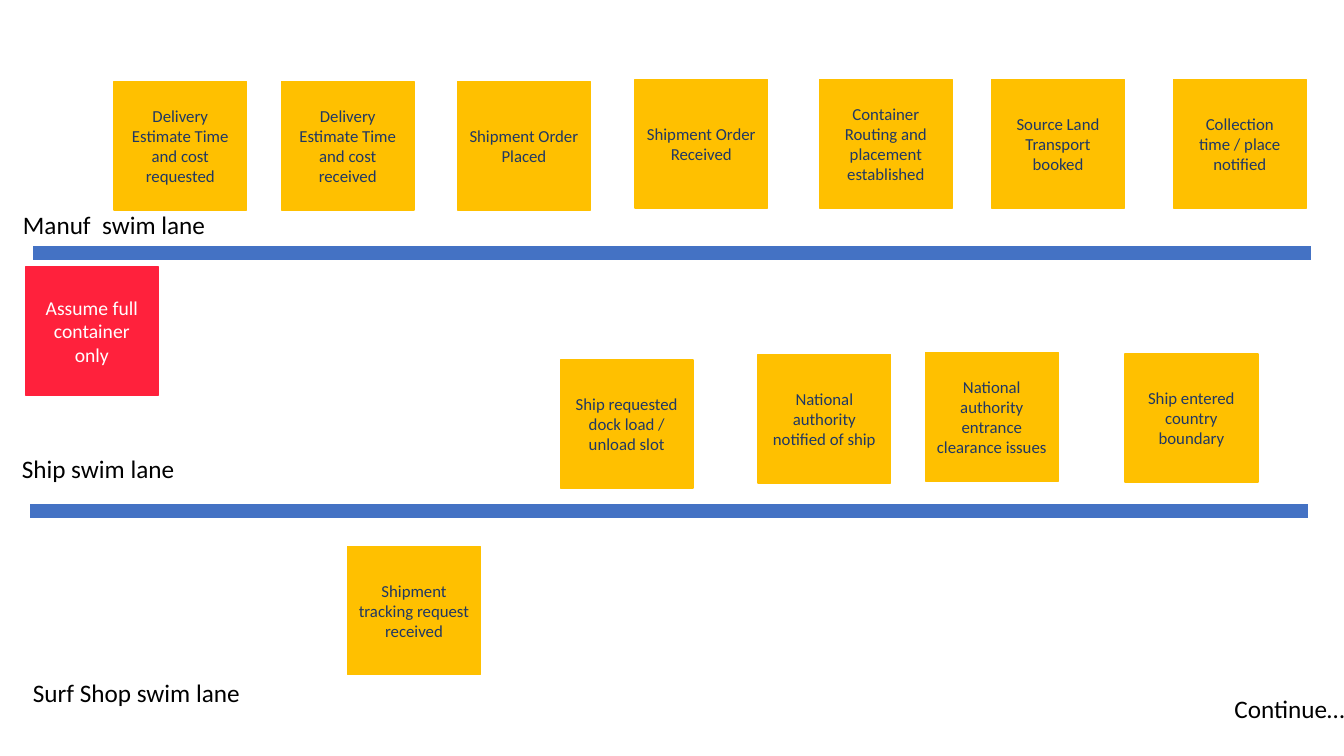
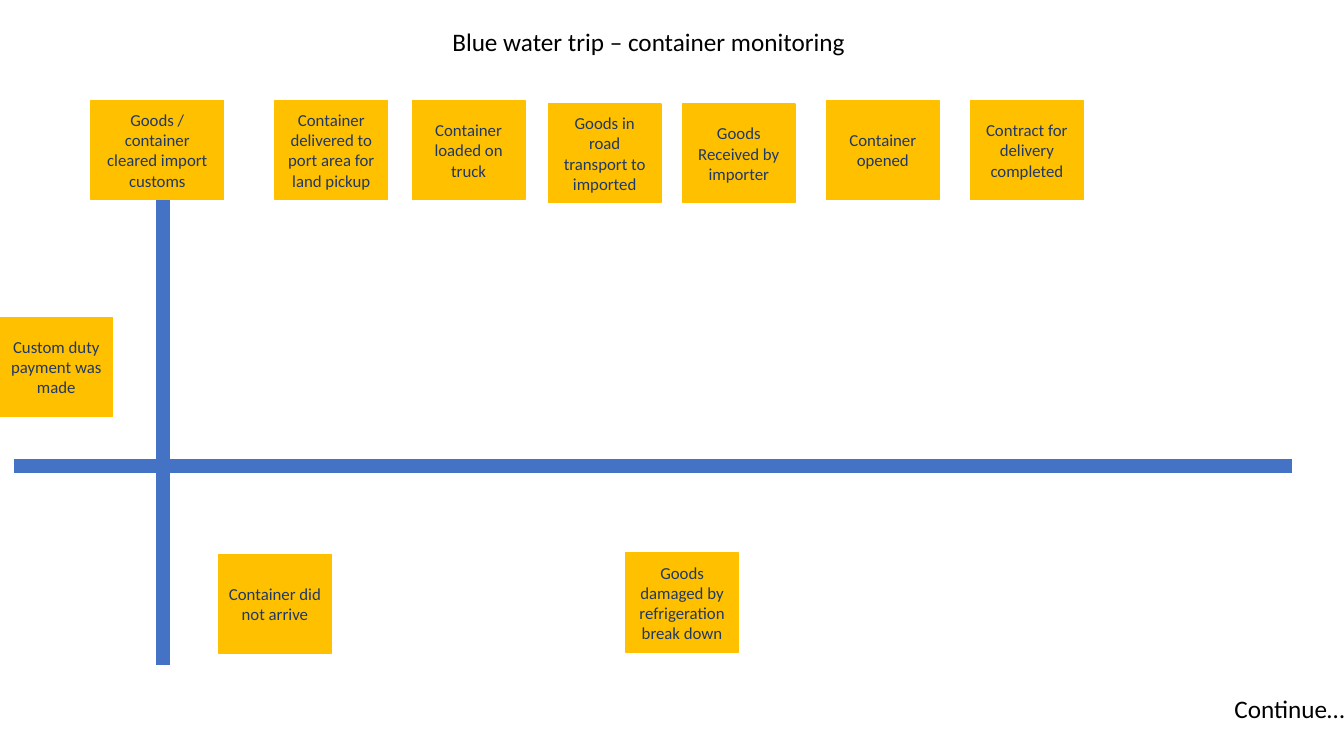
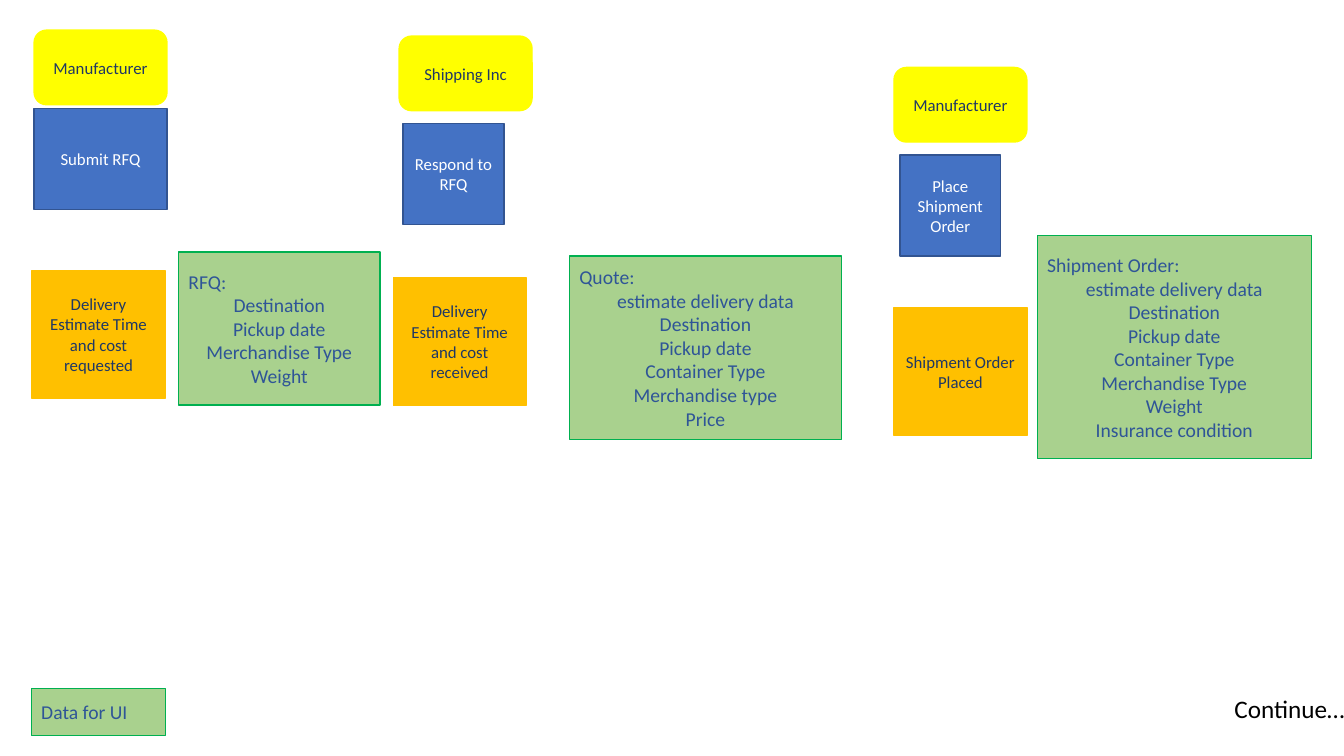
from lxml.etree import SubElement
from pptx import Presentation
from pptx.dml.color import RGBColor
from pptx.enum.shapes import MSO_CONNECTOR, MSO_SHAPE
from pptx.enum.text import MSO_ANCHOR, MSO_AUTO_SIZE, PP_ALIGN
from pptx.oxml.ns import qn
from pptx.util import Cm, Pt

HUES = {
    "amber": "FFC000", "red": "FF213C", "lemon": "FFFF00", "blue": "4472C4",
    "edge": "325491", "sage": "A9D18E", "green": "00B050", "navy": "203864",
    "ink": "2F5597", "white": "FFFFFF", "black": "000000",
}
SIDE, TALL, LOW = 3.35, 3.23, 2.49


def hue(name):
    return RGBColor.from_string(HUES[name])


def write(frame, text, size=12, color="navy", head=PP_ALIGN.CENTER, rest=PP_ALIGN.CENTER):
    for i, line in enumerate(text.split("\n")):
        para = frame.paragraphs[0] if i == 0 else frame.add_paragraph()
        para.alignment = rest if i else head
        run = para.add_run()
        run.text = line
        run.font.name = "Calibri"
        run.font.size = Pt(size)
        run.font.color.rgb = hue(color)


class Deck:
    """Hold the shared style and the slide being drawn."""

    def __init__(self):
        self.show = Presentation()
        self.show.slide_width, self.show.slide_height = Cm(33.87), Cm(19.05)
        self.slide = None

    def page(self):
        self.slide = self.show.slides.add_slide(self.show.slide_layouts[6])
        self.label("Continue…", 30.86, 17.35, 3.38)

    def box(self, text, x, y, w, h, fill, edge=None, form=MSO_SHAPE.RECTANGLE, **style):
        shape = self.slide.shapes.add_shape(form, Cm(x), Cm(y), Cm(w), Cm(h))
        shape.shadow.inherit = False
        shape.fill.solid()
        shape.fill.fore_color.rgb = hue(fill)
        shape.line.color.rgb = hue(edge or fill)
        shape.line.width = Pt(1)
        frame = shape.text_frame
        frame.word_wrap = True
        frame.vertical_anchor = MSO_ANCHOR.MIDDLE
        write(frame, text, **style)

    def event(self, text, x, y, w=SIDE, h=TALL):
        self.box(text, x, y, w, h, "amber")

    def note(self, text, x, y):
        self.box(text, x, y, SIDE, TALL, "red", size=14, color="white")

    def actor(self, text, x, y):
        self.box(text, x, y, SIDE, 1.88, "lemon", form=MSO_SHAPE.ROUNDED_RECTANGLE)

    def action(self, text, x, y, w=2.54):
        self.box(text, x, y, w, 2.54, "blue", "edge", color="white")

    def data(self, text, x, y, w, h):
        self.box(text, x, y, w, h, "sage", "green", size=14, color="ink", head=PP_ALIGN.LEFT)

    def label(self, text, x, y, w):
        frame = self.slide.shapes.add_textbox(Cm(x), Cm(y), Cm(w), Cm(1.02)).text_frame
        frame.word_wrap = False
        frame.auto_size = MSO_AUTO_SIZE.SHAPE_TO_FIT_TEXT
        write(frame, text, size=18, color="black", head=PP_ALIGN.LEFT)

    def bar(self, x, y, w=0, h=0):
        line = self.slide.shapes.add_connector(
            MSO_CONNECTOR.STRAIGHT, Cm(x), Cm(y), Cm(x + w), Cm(y + h))
        line.line.color.rgb = hue("blue")
        line.line.width = Pt(10)
        SubElement(line._element.spPr, qn("a:effectLst"))


def lanes(deck):
    deck.page()
    deck.bar(0.84, 6.38, w=32.21)
    deck.bar(0.76, 12.88, w=32.21)
    for text, x, y in [
        ("Delivery Estimate Time and cost requested", 2.87, 2.06),
        ("Delivery Estimate Time and cost received", 7.09, 2.06),
        ("Shipment Order Placed", 11.53, 2.06),
        ("Shipment Order Received", 16, 2.01),
        ("Container Routing and placement established", 20.65, 2.01),
        ("Source Land Transport booked", 24.99, 2.01),
        ("Collection time / place notified", 29.57, 2.01),
        ("Ship requested dock load / unload slot", 14.12, 9.07),
        ("National authority notified of ship", 19.1, 8.94),
        ("National authority entrance clearance issues", 23.32, 8.89),
        ("Ship entered country boundary", 28.35, 8.92),
        ("Shipment tracking request received", 8.76, 13.77),
    ]:
        deck.event(text, x, y)
    deck.note("Assume full container only", 0.64, 6.73)
    deck.label("Manuf  swim lane", 0.33, 5.16, 5.16)
    deck.label("Ship swim lane", 0.3, 11.3, 4.39)
    deck.label("Surf Shop swim lane", 0.58, 16.94, 5.79)


def trip(deck):
    deck.page()
    deck.label("Blue water trip – container monitoring", 11.15, 0.53, 10.52)
    deck.bar(0.36, 11.73, w=32.21)
    deck.bar(4.11, 3.63, h=13.13)
    deck.event("Goods / container cleared import customs", 2.29, 2.54, h=LOW)
    for text, x, y in [
        ("Container delivered to port area for land pickup", 6.93, 2.54),
        ("Container loaded on truck", 10.39, 2.54),
        ("Goods in road transport to imported", 13.82, 2.62),
        ("Goods Received by importer", 17.2, 2.62),
        ("Container opened", 20.83, 2.54),
        ("Contract for delivery completed", 24.46, 2.54),
        ("Custom duty payment was made", 0, 8),
        ("Container did not arrive", 5.51, 13.97),
        ("Goods damaged by refrigeration break down", 15.77, 13.94),
    ]:
        deck.event(text, x, y, 2.84, LOW)


def orders(deck):
    deck.page()
    deck.actor("Manufacturer", 0.86, 0.76)
    deck.actor("Shipping Inc", 10.06, 0.91)
    deck.actor("Manufacturer", 22.53, 1.7)
    deck.action("Submit RFQ", 0.86, 2.74, SIDE)
    deck.action("Respond to RFQ", 10.16, 3.12)
    deck.action("Place Shipment Order", 22.68, 3.91)
    deck.event("Delivery Estimate Time and cost requested", 0.81, 6.81)
    deck.event("Delivery Estimate Time and cost received", 9.91, 6.99)
    deck.event("Shipment Order Placed", 22.53, 7.75)
    deck.data("RFQ:\nDestination\nPickup date\nMerchandise Type\nWeight",
              4.5, 6.35, 5.08, 3.86)
    deck.data("Quote:\nestimate delivery data\nDestination\nPickup date\n"
              "Container Type\nMerchandise type\nPrice", 14.35, 6.45, 6.86, 4.62)
    deck.data("Shipment Order:\nestimate delivery data\nDestination\nPickup date\n"
              "Container Type\nMerchandise Type\nWeight\nInsurance condition",
              26.14, 5.94, 6.91, 5.61)
    deck.data("Data for UI", 0.79, 17.35, 3.38, 1.19)


def main():
    deck = Deck()
    for draw in (lanes, trip, orders):
        draw(deck)
    deck.show.save("out.pptx")


if __name__ == "__main__":
    main()
